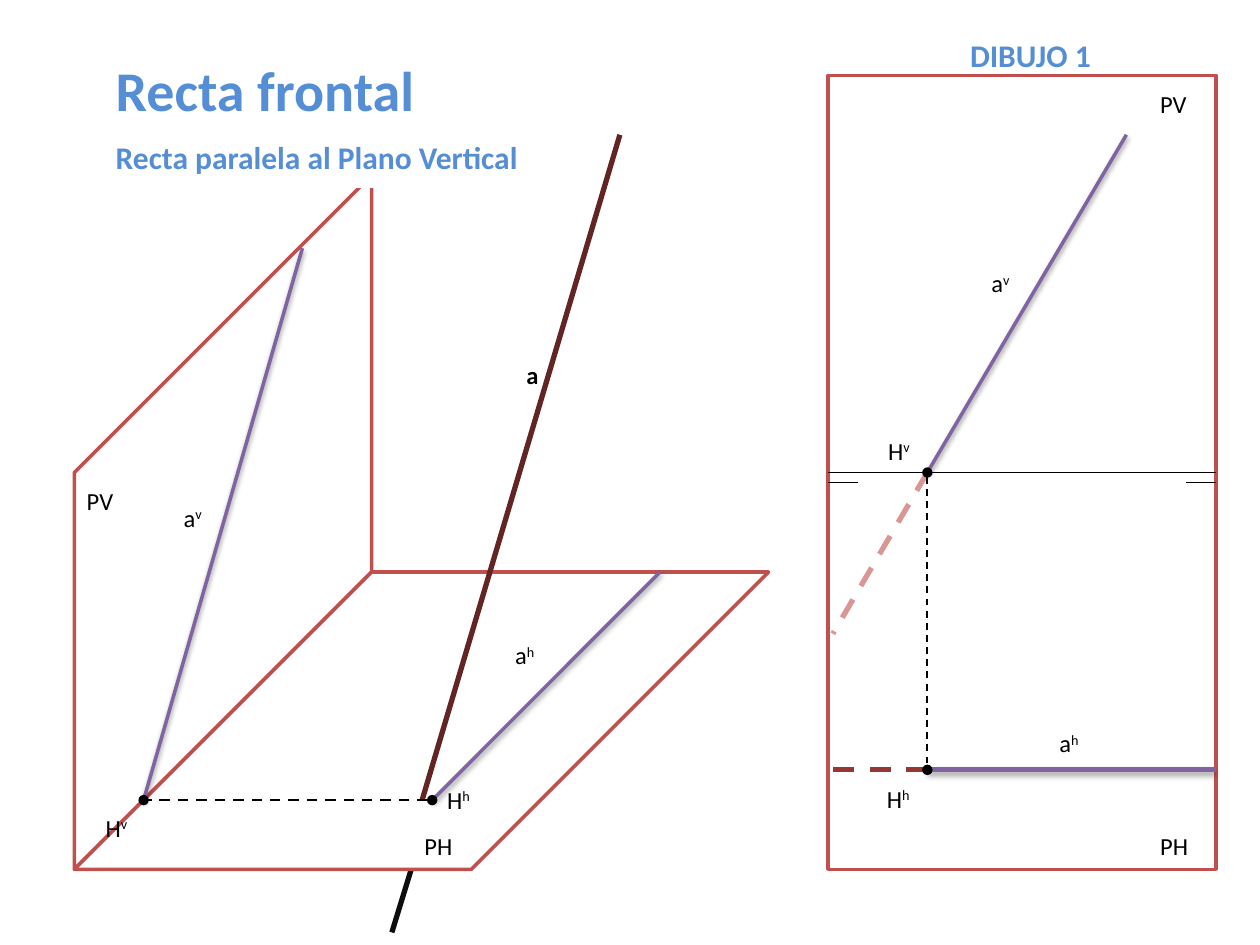
from dataclasses import dataclass

import pptx
import pptx.dml.color
import pptx.enum.dml
import pptx.enum.shapes
import pptx.enum.text
import pptx.oxml
import pptx.oxml.ns
import pptx.util
from pptx.util import Inches

FONT = "Calibri"
BLACK, WHITE = "000000", "FFFFFF"
PLANE_RED, TITLE_BLUE, PURPLE = "C0504D", "558ED5", "8064A2"
A_NS = pptx.oxml.ns.nsdecls("a")

# Key points shared by several parts, in inches
GROUND_Y = 3.75
HV_SPACE, HH_SPACE = (1.14, 6.35), (3.43, 6.35)
HV_FLAT, HH_FLAT = (7.36, GROUND_Y), (7.36, 6.11)
PANEL_LEFT, PANEL_RIGHT = 6.57, 9.65
HINGE_FRONT, HINGE_BACK = (0.59, 6.9), (2.95, 4.54)


@dataclass
class Segment:
    start: tuple[float, float]
    end: tuple[float, float]
    color: str
    weight: float
    dashed: bool = False
    dots: bool = False
    shadow_alpha: int = 0


@dataclass
class Label:
    left: float
    top: float
    width: float
    base: str
    exponent: str = ""
    size: int = 14
    bold: bool = False
    color: str = BLACK
    height: float = 0.34


def rgb(color: str) -> pptx.dml.color.RGBColor:
    return pptx.dml.color.RGBColor.from_string(color)


def paint(shape, line_color: str) -> None:
    shape.shadow.inherit = False
    shape.fill.solid()
    shape.fill.fore_color.rgb = rgb(WHITE)
    shape.line.color.rgb = rgb(line_color)
    shape.line.width = pptx.util.Pt(2)


def style_run(run, size: int, bold: bool, color: str) -> None:
    run.font.name = FONT
    run.font.size = pptx.util.Pt(size)
    run.font.bold = bold
    run.font.color.rgb = rgb(color)


def draw_segment(shapes, segment: Segment):
    ends = [Inches(value) for value in segment.start + segment.end]
    connector = shapes.add_connector(
        pptx.enum.shapes.MSO_CONNECTOR.STRAIGHT, *ends)
    connector.line.color.rgb = rgb(segment.color)
    connector.line.width = pptx.util.Pt(segment.weight)
    if segment.dashed:
        connector.line.dash_style = pptx.enum.dml.MSO_LINE.DASH
    if segment.dots:
        outline = connector.line._get_or_add_ln()
        for tag in ("headEnd", "tailEnd"):
            outline.append(pptx.oxml.parse_xml(f'<a:{tag} {A_NS} type="oval"/>'))
    shadow = ""
    if segment.shadow_alpha:
        distance = 1.6 if segment.weight == 2 else 1.8
        shadow = (
            f'<a:outerShdw blurRad="{pptx.util.Pt(3.1)}" dist="{pptx.util.Pt(distance)}"'
            ' dir="5400000" rotWithShape="0">'
            f'<a:srgbClr val="{BLACK}"><a:alpha val="{segment.shadow_alpha * 1000}"/>'
            '</a:srgbClr></a:outerShdw>')
    connector._element.spPr.append(
        pptx.oxml.parse_xml(f"<a:effectLst {A_NS}>{shadow}</a:effectLst>"))
    return connector


def draw_plane(shapes, corners: list[tuple[float, float]]) -> None:
    points = [(Inches(x), Inches(y)) for x, y in corners]
    builder = shapes.build_freeform(*points[0])
    builder.add_line_segments(points[1:], close=True)
    paint(builder.convert_to_shape(), PLANE_RED)


def draw_label(shapes, label: Label) -> None:
    box = shapes.add_textbox(Inches(label.left), Inches(label.top),
                             Inches(label.width), Inches(label.height))
    frame = box.text_frame
    frame.word_wrap = False
    frame.auto_size = pptx.enum.text.MSO_AUTO_SIZE.SHAPE_TO_FIT_TEXT
    paragraph = frame.paragraphs[0]
    paragraph.text = label.base
    if label.exponent:
        exponent = paragraph.add_run()
        exponent.text = label.exponent
        exponent.font._element.set("baseline", "30000")
    for run in paragraph.runs:
        style_run(run, label.size, label.bold, label.color)


def draw_heading(shapes) -> None:
    heading = shapes.add_shape(
        pptx.enum.shapes.MSO_SHAPE.RECTANGLE,
        Inches(0.82), Inches(0.39), Inches(4.41), Inches(1.09))
    paint(heading, WHITE)
    frame = heading.text_frame
    frame.word_wrap = True
    frame.auto_size = pptx.enum.text.MSO_AUTO_SIZE.SHAPE_TO_FIT_TEXT
    frame.vertical_anchor = pptx.enum.text.MSO_ANCHOR.TOP
    frame.text = "Recta frontal\nRecta paralela al Plano Vertical"
    for paragraph, size in zip(frame.paragraphs, (32, 18)):
        paragraph.alignment = pptx.enum.text.PP_ALIGN.LEFT
        paragraph._p.get_or_add_pPr().append(pptx.oxml.parse_xml(
            f'<a:spcBef {A_NS}><a:spcPct val="50000"/></a:spcBef>'))
        style_run(paragraph.runs[0], size, True, TITLE_BLUE)


GROUND_MARKS = [
    Segment((PANEL_LEFT, 3.83), (PANEL_LEFT + 0.24, 3.83), BLACK, 0.75),
    Segment((PANEL_RIGHT, 3.83), (PANEL_RIGHT - 0.24, 3.83), BLACK, 0.75),
]

LINE_AND_PROJECTIONS = [
    # Perspective view
    Segment((4.92, 1.07), (3.35, 6.35), "632523", 3),
    Segment((2.4, 1.97), HV_SPACE, PURPLE, 2, shadow_alpha=38),
    Segment((5.24, 4.54), HH_SPACE, PURPLE, 2, shadow_alpha=38),
    Segment(HH_SPACE, HV_SPACE, BLACK, 1.5, dashed=True, dots=True),
    # Flat view
    Segment((8.94, 1.07), HV_FLAT, PURPLE, 2, shadow_alpha=38),
    Segment((PANEL_RIGHT, 6.11), HH_FLAT, PURPLE, 3, shadow_alpha=35),
    Segment(HH_FLAT, (PANEL_LEFT, 6.11), "953735", 3, dashed=True),
    Segment(HV_FLAT, (6.61, 5.03), "D99694", 3, dashed=True),
    Segment(HV_FLAT, HH_FLAT, BLACK, 1, dashed=True, dots=True),
]

LABELS = [
    # Perspective view
    Label(0.59, 3.81, 0.44, "PV"),
    Label(3.27, 6.55, 0.44, "PH"),
    Label(4.08, 2.81, 0.29, "a", bold=True),
    Label(1.36, 3.94, 0.35, "a", "v"),
    Label(3.99, 5.03, 0.36, "a", "h"),
    Label(3.45, 6.18, 0.39, "H", "h"),
    Label(0.74, 6.4, 0.39, "H", "v"),
    # Flat view
    Label(9.11, 0.66, 0.44, "PV"),
    Label(9.11, 6.55, 0.44, "PH"),
    Label(6.94, 6.17, 0.39, "H", "h"),
    Label(6.95, 3.41, 0.39, "H", "v"),
    Label(8.31, 5.73, 0.36, "a", "h"),
    Label(7.77, 2.08, 0.35, "a", "v"),
    Label(7.6, 0.24, 1.32, "DIBUJO 1", size=18, bold=True,
          color=TITLE_BLUE, height=0.4),
]


def main() -> None:
    presentation = pptx.Presentation()
    presentation.slide_width, presentation.slide_height = Inches(10), Inches(7.5)
    shapes = presentation.slides.add_slide(presentation.slide_layouts[6]).shapes

    # Hidden end of the line, then the two planes in perspective
    draw_segment(shapes, Segment((3.27, 6.88), (3.11, 7.4), "0D0D0D", 3))
    planes = shapes.add_group_shape().shapes
    draw_plane(planes, [HINGE_FRONT, (0.59, 3.75), (2.95, 1.39), HINGE_BACK])
    draw_plane(planes, [HINGE_BACK, (6.1, 4.54), (3.74, 6.9), HINGE_FRONT])

    # Flat panel with its ground line
    panel = shapes.add_shape(
        pptx.enum.shapes.MSO_SHAPE.RECTANGLE, Inches(PANEL_LEFT), Inches(0.6),
        Inches(PANEL_RIGHT - PANEL_LEFT), Inches(6.3))
    paint(panel, PLANE_RED)
    ground = draw_segment(shapes, Segment(
        (PANEL_LEFT, GROUND_Y), (PANEL_RIGHT, GROUND_Y), BLACK, 0.75))
    ground.begin_connect(panel, 1)
    ground.end_connect(panel, 3)
    for mark in GROUND_MARKS:
        draw_segment(shapes, mark)

    # Heading, line with its projections, and labels
    draw_heading(shapes)
    for segment in LINE_AND_PROJECTIONS:
        draw_segment(shapes, segment)
    for label in LABELS:
        draw_label(shapes, label)

    presentation.save("out.pptx")


if __name__ == "__main__":
    main()
